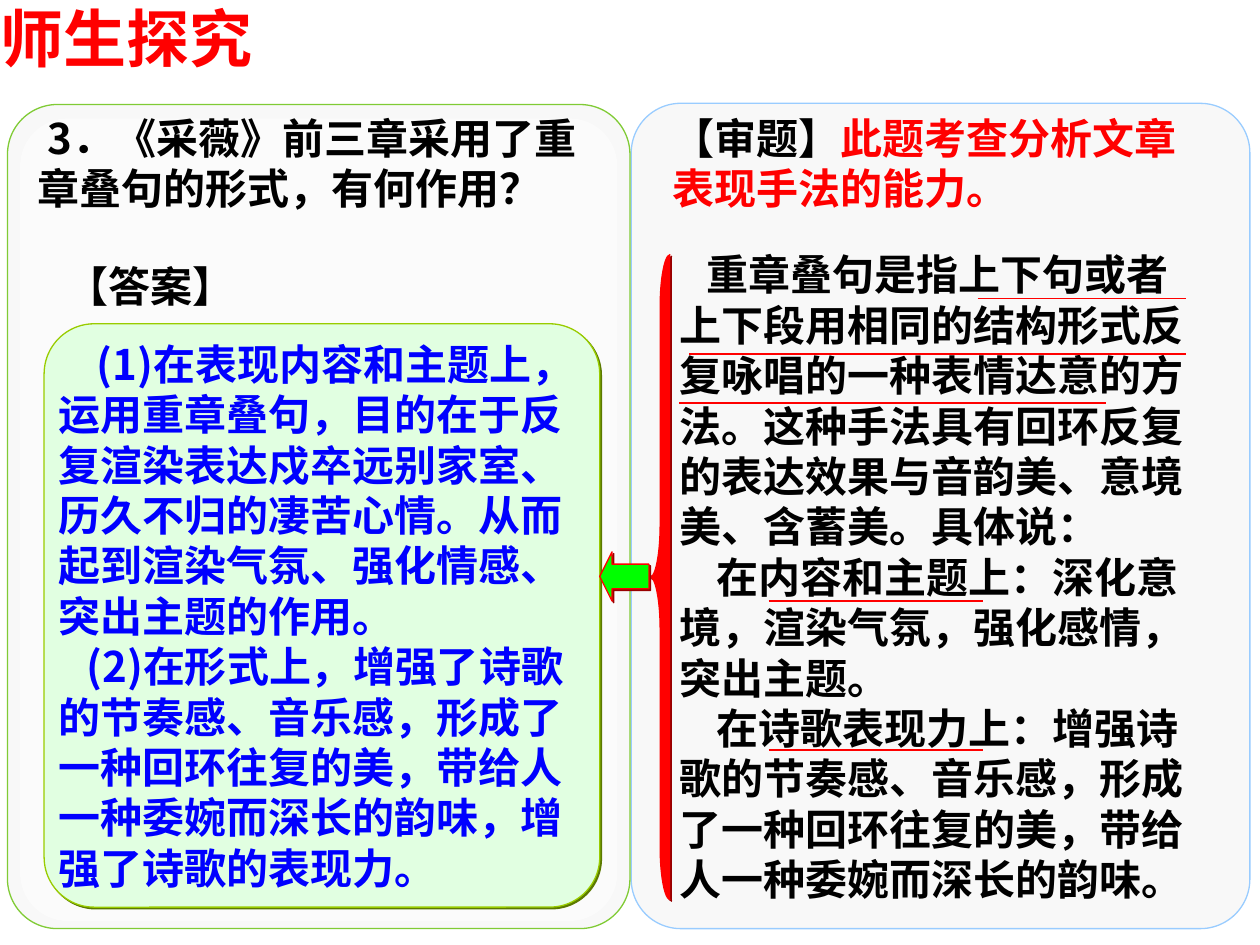
from dataclasses import dataclass

from lxml.etree import SubElement
from pptx import Presentation
from pptx.dml.color import RGBColor
from pptx.enum.shapes import MSO_CONNECTOR, MSO_SHAPE
from pptx.enum.text import MSO_ANCHOR, PP_ALIGN
from pptx.oxml.ns import qn
from pptx.util import Inches, Pt

ROUNDED = MSO_SHAPE.ROUNDED_RECTANGLE
LEFT_BRACE = MSO_SHAPE.LEFT_BRACE
LEFT_ARROW = MSO_SHAPE.LEFT_ARROW
STRAIGHT = MSO_CONNECTOR.STRAIGHT
TOP, MIDDLE = MSO_ANCHOR.TOP, MSO_ANCHOR.MIDDLE
LEFT = PP_ALIGN.LEFT

COLORS = {
    "red": "FF0000", "black": "000000", "blue": "0000FF", "white": "FFFFFF",
    "panel": "F8F8F8", "sky": "99CCFF", "leaf": "80CB35", "mint": "E1FFE1",
    "olive": "99CC00", "dark olive": "5B7900", "dark red": "980000",
    "green": "00FF00", "gray": "808080",
}
EAST_ASIAN_FONT = "Noto Sans CJK SC"
LINE_FACTOR = 1.2


@dataclass
class Block:
    box: tuple
    fill: str
    line: str | None = None
    kind: int = ROUNDED
    adjustments: tuple = ()
    shadow: str | None = None
    alpha: int | None = None


@dataclass
class Passage:
    paragraphs: list
    box: tuple | None = None
    indents: tuple = (0, 0, 0)
    insets: tuple = (0.1, 0.05, 0.1, 0.05)
    anchor: int = TOP
    size: int = 24
    font: str = "Arial"
    shadow: bool = True


def rgb(name: str) -> RGBColor:
    return RGBColor.from_string(COLORS[name])


def add_shadow(effects, color: str, distance: float) -> None:
    shadow = SubElement(effects, qn("a:outerShdw"), dist=str(Pt(distance)), dir="2700000", algn="ctr", rotWithShape="0")
    SubElement(shadow, qn("a:srgbClr"), val=COLORS[color])


def add_block(slide, block: Block):
    shape = slide.shapes.add_shape(block.kind, *map(Inches, block.box))
    for index, value in enumerate(block.adjustments):
        shape.adjustments[index] = value
    shape.fill.solid()
    shape.fill.fore_color.rgb = rgb(block.fill)
    if block.alpha:
        color = shape.fill._xPr.find(".//" + qn("a:srgbClr"))
        SubElement(color, qn("a:alpha"), val=str(block.alpha * 1000))
    if block.line:
        shape.line.color.rgb = rgb(block.line)
        shape.line.width = Pt(0.75)
    else:
        shape.line.fill.background()
    shape.shadow.inherit = False
    if block.shadow:
        add_shadow(shape._element.spPr.find(qn("a:effectLst")), block.shadow, 1.4)
    return shape


def add_run(paragraph, passage: Passage, text: str, color: str) -> None:
    run = paragraph.add_run()
    run.text = text
    run.font.color.rgb = rgb(color)
    properties = run._r.get_or_add_rPr()
    if passage.shadow:
        add_shadow(SubElement(properties, qn("a:effectLst")), "gray", 1.4)
    for name, value in {"size": Pt(passage.size), "bold": True, "name": passage.font}.items():
        setattr(run.font, name, value)
    SubElement(properties, qn("a:ea"), typeface=EAST_ASIAN_FONT)


def write_passage(shape, passage: Passage) -> None:
    frame = shape.text_frame
    left, top, right, bottom = map(Inches, passage.insets)
    frame_format = {
        "word_wrap": True, "vertical_anchor": passage.anchor,
        "margin_left": left, "margin_top": top, "margin_right": right, "margin_bottom": bottom,
    }
    for name, value in frame_format.items():
        setattr(frame, name, value)
    for index, runs in enumerate(passage.paragraphs):
        paragraph = frame.add_paragraph() if index else frame.paragraphs[0]
        paragraph.alignment = LEFT
        paragraph.line_spacing = Pt(passage.size * LINE_FACTOR)
        properties = paragraph._p.get_or_add_pPr()
        properties.set("marL", "0")
        properties.set("indent", str(Inches(passage.indents[index])))
        for text, color in runs:
            add_run(paragraph, passage, text, color)


def add_passage(slide, passage: Passage) -> None:
    write_passage(slide.shapes.add_textbox(*map(Inches, passage.box)), passage)


def add_underline(slide, start: float, end: float, height: float) -> None:
    line = slide.shapes.add_connector(STRAIGHT, *map(Inches, (start, height, end, height)))
    line.line.color.rgb = rgb("red")
    line.line.width = Pt(1)
    SubElement(line._element.spPr, qn("a:effectLst"))


PANELS = [
    Block((5.01, 0.82, 4.91, 6.55), "panel", "sky", adjustments=(0.08,)),
    Block((0.06, 0.83, 4.94, 6.54), "panel", "leaf", adjustments=(0.08,)),
    Block((0.16, 0.94, 4.74, 6.37), "white", adjustments=(0.08,), alpha=50),
]
ANSWER_PANEL = Block((0.35, 2.57, 4.41, 4.63), "mint", "olive", adjustments=(0.09,), shadow="dark olive")
POINTERS = [
    Block((5.16, 2.02, 0.16, 5.12), "red", "red", LEFT_BRACE, (2.63, 0.5), "dark red"),
    Block((4.76, 4.38, 0.39, 0.39), "green", "red", LEFT_ARROW, (0.5, 0.25), "dark red"),
]
PASSAGES = [
    Passage([[("师生探究", "red")]], (0, 0, 3.35, 0.6), insets=(0, 0, 0, 0), size=36),
    Passage([[("3．《采薇》前三章采用了重章叠句的形式，有何作用？", "black")]],
            (0.2, 0.84, 4.57, 0.9), indents=(0.08,), anchor=MIDDLE, font=EAST_ASIAN_FONT),
    Passage([
        [("重章叠句是指上下句或者上下段用相同的结构形式反复咏唱的一种表情达意的方法。"
          "这种手法具有回环反复的表达效果与音韵美、意境美、含蓄美。具体说：", "black")],
        [("在内容和主题上：深化意境，渲染气氛，强化感情，突出主题。", "black")],
        [("在诗歌表现力上：增强诗歌的节奏感、音乐感，形成了一种回环往复的美，"
          "带给人一种委婉而深长的韵味。", "black")],
    ], (5.39, 1.65, 4.16, 5.77), (0.22, 0.3, 0.3), (0, 0.12, 0, 0.04), MIDDLE),
    Passage([[("【审题】", "black"), ("此题考查分析文章表现手法的能力。", "red")]], (5.24, 0.84, 4.33, 0.9)),
    Passage([[("【答案】", "black")]], (0.43, 2.02, 1.81, 0.5)),
]
ANSWER = Passage([
    [("(1)在表现内容和主题上，运用重章叠句，目的在于反复渲染表达戍卒远别家室、"
      "历久不归的凄苦心情。从而起到渲染气氛、强化情感、突出主题的作用。", "blue")],
    [("(2)在形式上，增强了诗歌的节奏感、音乐感，形成了一种回环往复的美，"
      "带给人一种委婉而深长的韵味，增强了诗歌的表现力。", "blue")],
], indents=(0.3, 0.22), insets=(0, 0, 0, 0), anchor=MIDDLE, font=EAST_ASIAN_FONT, shadow=False)
UNDERLINES = [(7.76, 9.41, 2.37), (5.47, 9.41, 2.81), (5.39, 8.78, 3.2), (6.1, 7.8, 4.77), (6.1, 7.8, 5.95)]


def main() -> None:
    presentation = Presentation()
    presentation.slide_width, presentation.slide_height = Inches(10), Inches(7.5)
    slide = presentation.slides.add_slide(presentation.slide_layouts[6])
    for panel in PANELS:
        add_block(slide, panel)
    write_passage(add_block(slide, ANSWER_PANEL), ANSWER)
    for passage in PASSAGES:
        add_passage(slide, passage)
    for underline in UNDERLINES:
        add_underline(slide, *underline)
    for pointer in POINTERS:
        add_block(slide, pointer)
    presentation.save("out.pptx")


if __name__ == "__main__":
    main()
